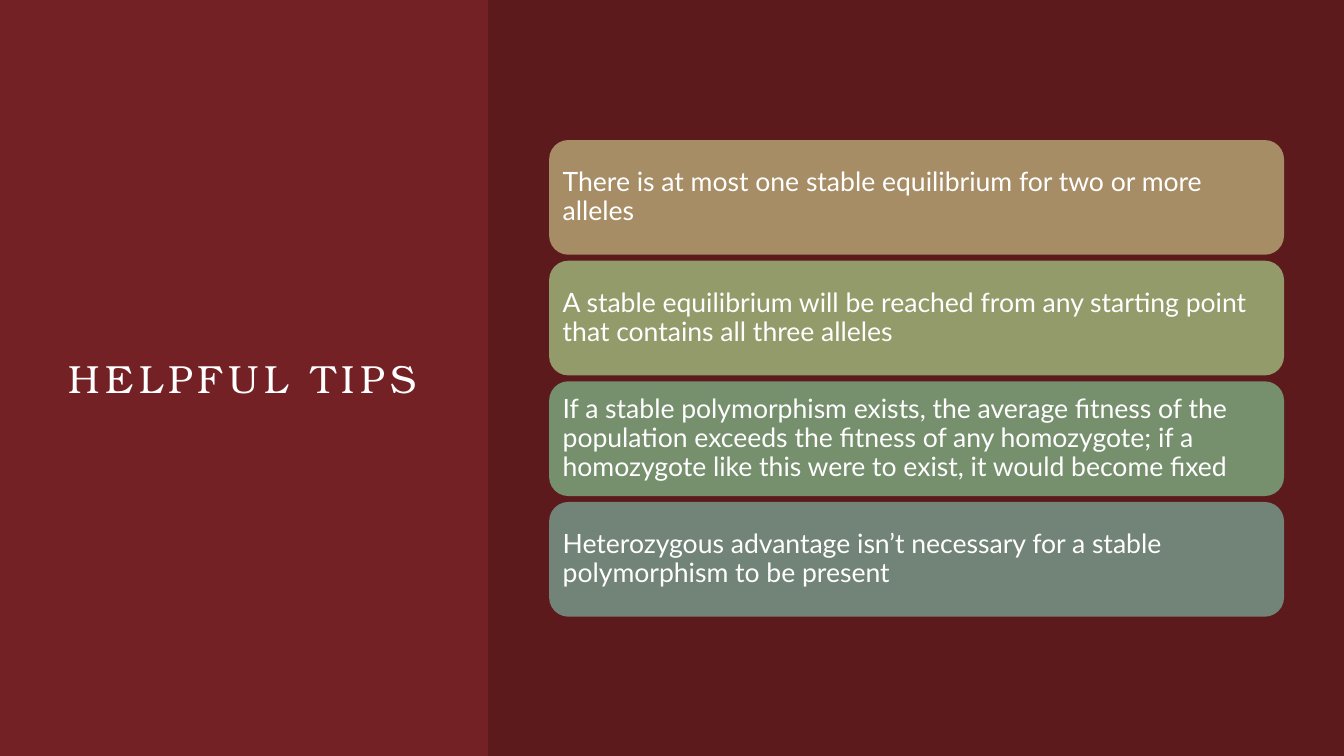
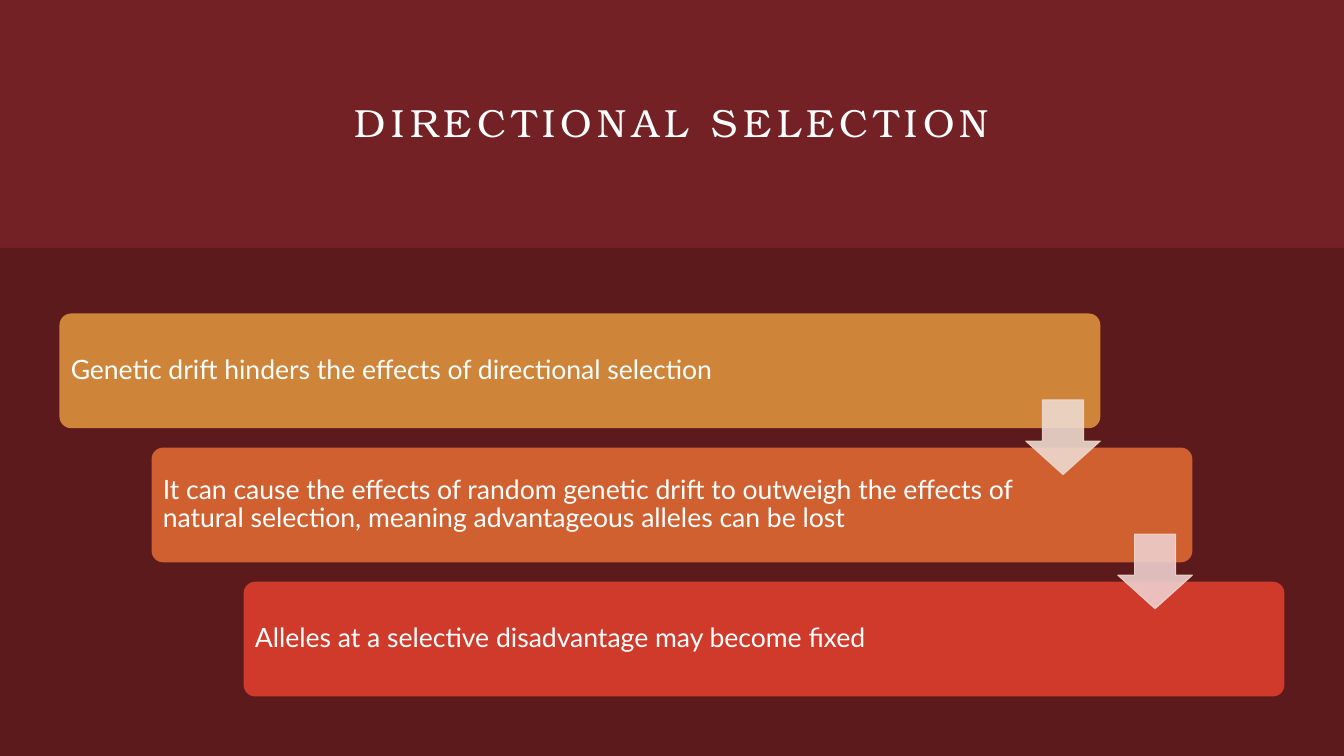
from dataclasses import dataclass

from pptx import Presentation
from pptx import util as u
from pptx.dml.color import RGBColor
from pptx.enum import shapes, text
from pptx.oxml import ns, xmlchemy


@dataclass(frozen=True)
class Theme:
    width: float = 33.87
    height: float = 19.05
    background: str = "732124"
    shade: str = "000000"
    ink: str = "FFFFFF"
    arrow_line: str = "EDD9CE"
    title_font: str = "TeX Gyre Bonum"
    body_font: str = "Lato"
    title_size: int = 28
    body_size: int = 19
    title_tracking: int = 400
    card_height: float = 2.89
    inset: float = 0.2


THEME = Theme()

TIPS = [
    ("There is at most one stable equilibrium for two or more alleles", "A68D65"),
    ("A stable equilibrium will be reached from any starting point that contains "
     "all three alleles", "929B69"),
    ("If a stable polymorphism exists, the average fitness of the population exceeds "
     "the fitness of any homozygote; if a homozygote like this were to exist, it "
     "would become fixed", "768F6D"),
    ("Heterozygous advantage isn’t necessary for a stable polymorphism to be present",
     "728377"),
]

STEPS = [
    ("Genetic drift hinders the effects of directional selection", "CE8439"),
    ("It can cause the effects of random genetic drift to outweigh the effects of "
     "natural selection, meaning advantageous alleles can be lost", "D06030"),
    ("Alleles at a selective disadvantage may become fixed", "CF3A2A"),
]

ARROW_FILLS = ["EDD9CE", "EDCECD"]


def apply_format(target, values):
    for name, value in values.items():
        setattr(target, name, value)


def place(box, left, top, width, height):
    names = ("left", "top", "width", "height")
    lengths = (left, top, width, height)
    apply_format(box, {name: u.Cm(length) for name, length in zip(names, lengths)})


def write(box, words, font, size, align, spacing, insets):
    frame = box.text_frame
    frame.text = words
    apply_format(frame, {
        "word_wrap": True,
        "auto_size": text.MSO_AUTO_SIZE.NONE,
        "vertical_anchor": text.MSO_ANCHOR.MIDDLE,
    })
    sides = ("margin_left", "margin_top", "margin_right", "margin_bottom")
    apply_format(frame, {side: u.Cm(inset) for side, inset in zip(sides, insets)})
    para = frame.paragraphs[0]
    apply_format(para, {"alignment": align, "line_spacing": spacing})
    span = para.runs[0]
    apply_format(span.font, {"name": font, "size": u.Pt(size), "bold": False})
    span.font.color.rgb = RGBColor.from_string(THEME.ink)
    return span


def add_page(deck, title, bounds):
    page = deck.slides.add_slide(deck.slide_layouts[5])
    box = page.shapes.title
    place(box, *bounds)
    span = write(box, title, THEME.title_font, THEME.title_size,
                 text.PP_ALIGN.CENTER, 1.0, (0, 0, 0, 0))
    span.font._element.set("spc", str(THEME.title_tracking))
    return page


def add_block(page, kind, bounds, fill, line=None, opacity=100, adjustments=()):
    box = page.shapes.add_shape(kind, *(u.Cm(length) for length in bounds))
    box.shadow.inherit = False
    for index, value in enumerate(adjustments):
        box.adjustments[index] = value
    box.fill.solid()
    box.fill.fore_color.rgb = RGBColor.from_string(fill)
    if line:
        box.line.color.rgb = RGBColor.from_string(line)
        box.line.width = u.Pt(0.75)
    else:
        box.line.fill.background()
    if opacity < 100:
        for color in box._element.spPr.iter(ns.qn("a:srgbClr")):
            alpha = xmlchemy.OxmlElement("a:alpha")
            alpha.set("val", str(opacity * 1000))
            color.append(alpha)
    return box


def add_panel(page, left, top):
    bounds = (left, top, THEME.width - left, THEME.height - top)
    add_block(page, shapes.MSO_SHAPE.RECTANGLE, bounds, THEME.shade, opacity=20)


def add_card(page, words, fill, left, top, width, right_inset=THEME.inset,
             adjustments=()):
    box = add_block(page, shapes.MSO_SHAPE.ROUNDED_RECTANGLE,
                    (left, top, width, THEME.card_height), fill,
                    adjustments=adjustments)
    inset = THEME.inset
    write(box, words, THEME.body_font, THEME.body_size, text.PP_ALIGN.LEFT, 0.9,
          (inset, inset, right_inset, inset))


def add_tip_list(page, left, top, width, pitch):
    for index, (words, fill) in enumerate(TIPS):
        add_card(page, words, fill, left, top + index * pitch, width)


def add_staircase(page, left, top, width, shift, pitch):
    for index, (words, fill) in enumerate(STEPS):
        add_card(page, words, fill, left + index * shift, top + index * pitch, width,
                 right_inset=4.39, adjustments=[0.1])
    side, drop = 1.88, 2.18
    for index, fill in enumerate(ARROW_FILLS):
        bounds = (left + width - side + index * shift, top + drop + index * pitch,
                  side, side)
        add_block(page, shapes.MSO_SHAPE.DOWN_ARROW, bounds, fill, THEME.arrow_line,
                  opacity=90, adjustments=[0.55, 0.45])


def main():
    deck = Presentation()
    apply_format(deck, {"slide_width": u.Cm(THEME.width),
                        "slide_height": u.Cm(THEME.height)})
    backdrop = deck.slide_master.background.fill
    backdrop.solid()
    backdrop.fore_color.rgb = RGBColor.from_string(THEME.background)

    tips_page = add_page(deck, "HELPFUL TIPS", (1.5, 3, 9.22, 13.03))
    add_panel(tips_page, 12.3, 0)
    add_tip_list(tips_page, left=13.84, top=3.53, width=18.52, pitch=3.04)

    selection_page = add_page(deck, "DIRECTIONAL SELECTION", (3, 1.5, 27.87, 3.12))
    add_panel(selection_page, 0, 6.25)
    add_staircase(selection_page, left=1.5, top=7.9, width=26.23, shift=2.32,
                  pitch=3.38)

    deck.save("out.pptx")


if __name__ == "__main__":
    main()
